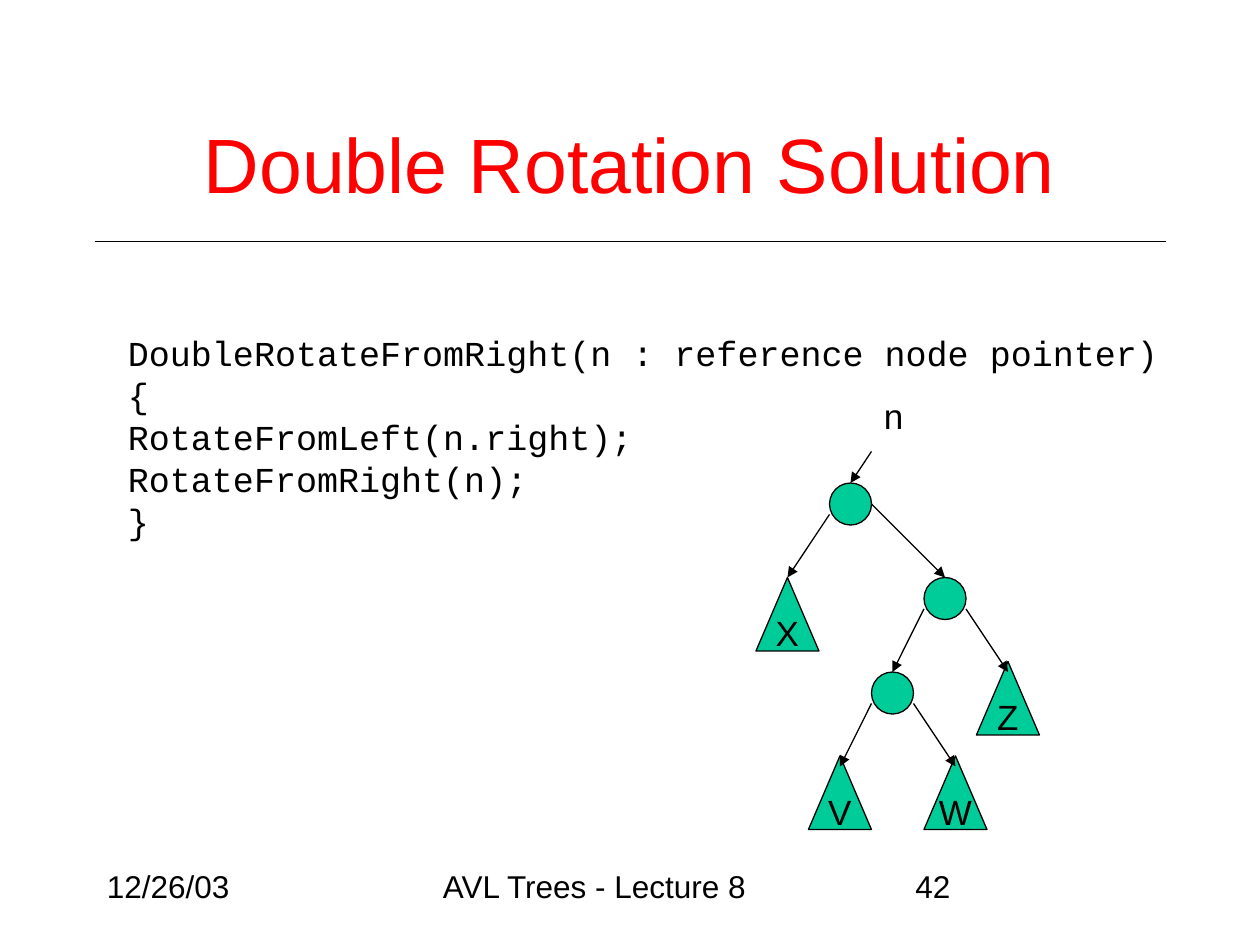
from lxml.etree import SubElement
from pptx import Presentation
from pptx.dml.color import RGBColor
from pptx.enum.shapes import MSO_CONNECTOR, MSO_SHAPE
from pptx.enum.text import MSO_ANCHOR, PP_ALIGN
from pptx.oxml.ns import qn
from pptx.util import Pt

BLACK, RED, GREEN = "000000", "FF0000", "00CC99"
NODE_SIZE = 24
SUBTREE_WIDTH, SUBTREE_HEIGHT = 36, 42

CODE = [
    "DoubleRotateFromRight(n : reference node pointer) {",
    "RotateFromLeft(n.right);",
    "RotateFromRight(n);",
    "}",
]
FOOTERS = [(54, 150, "12/26/03"), (246, 228, "AVL Trees - Lecture 8"), (516, 150, "42")]
NODES = [(474, 276), (528, 330), (498, 384)]
SUBTREES = [(432, 330, "X"), (558, 378, "Z"), (462, 432, "V"), (528, 432, "W")]
ARROWS = [
    (498, 258, 486, 276),
    (474, 294, 450, 330),
    (498, 288, 540, 330),
    (528, 348, 510, 384),
    (552, 348, 576, 384),
    (498, 402, 480, 438),
    (522, 402, 546, 438),
]


def color(value):
    """Turn a hex string into a colour."""
    return RGBColor.from_string(value)


def write(frame, lines, size, font="Arial", fill=BLACK, align=PP_ALIGN.LEFT):
    """Fill a text frame with one paragraph per line."""
    for index, line in enumerate(lines):
        paragraph = frame.add_paragraph() if index else frame.paragraphs[0]
        paragraph.text = line
        paragraph.alignment = align
        paragraph.font.name = font
        paragraph.font.size = Pt(size)
        paragraph.font.color.rgb = color(fill)


def add_text(page, left, top, width, height, lines, size, anchor=MSO_ANCHOR.TOP, **style):
    """Add a wrapping text box."""
    box = page.shapes.add_textbox(Pt(left), Pt(top), Pt(width), Pt(height))
    box.text_frame.word_wrap = True
    box.text_frame.vertical_anchor = anchor
    write(box.text_frame, lines, size, **style)


def add_tree_shape(page, kind, left, top, width, height):
    """Add a green outlined shape of the tree."""
    shape = page.shapes.add_shape(kind, Pt(left), Pt(top), Pt(width), Pt(height))
    shape.shadow.inherit = False
    shape.fill.solid()
    shape.fill.fore_color.rgb = color(GREEN)
    shape.line.color.rgb = color(BLACK)
    shape.line.width = Pt(0.75)
    return shape


def add_subtree(page, left, top, label):
    """Add a labelled triangle that stands for a subtree."""
    triangle = add_tree_shape(
        page, MSO_SHAPE.ISOSCELES_TRIANGLE, left, top, SUBTREE_WIDTH, SUBTREE_HEIGHT
    )
    frame = triangle.text_frame
    frame.word_wrap = False
    frame.vertical_anchor = MSO_ANCHOR.MIDDLE
    write(frame, [label], 20, align=PP_ALIGN.CENTER)


def add_line(page, x1, y1, x2, y2, arrow=False):
    """Add a thin black line, with an arrowhead at its end if asked."""
    line = page.shapes.add_connector(MSO_CONNECTOR.STRAIGHT, Pt(x1), Pt(y1), Pt(x2), Pt(y2))
    line.line.color.rgb = color(BLACK)
    line.line.width = Pt(0.75)
    if arrow:
        SubElement(line.line._get_or_add_ln(), qn("a:tailEnd"), type="triangle")
    SubElement(line._element.spPr, qn("a:effectLst"))


def main():
    """Build the slide and save it."""
    deck = Presentation()
    deck.slide_width, deck.slide_height = Pt(720), Pt(540)
    page = deck.slides.add_slide(deck.slide_layouts[6])

    add_line(page, 54, 138, 666, 138)
    for left, width, label in FOOTERS:
        add_text(page, left, 492, width, 36, [label], 18)
    add_text(page, 54, 48, 612, 90, ["Double Rotation Solution"], 44,
             anchor=MSO_ANCHOR.MIDDLE, fill=RED, align=PP_ALIGN.CENTER)
    add_text(page, 66, 186, 625, 104, CODE, 20, font="Courier New")

    add_text(page, 498, 222, 26, 32, ["n"], 20)
    for left, top in NODES:
        add_tree_shape(page, MSO_SHAPE.OVAL, left, top, NODE_SIZE, NODE_SIZE)
    for left, top, label in SUBTREES:
        add_subtree(page, left, top, label)
    for ends in ARROWS:
        add_line(page, *ends, arrow=True)

    deck.save("out.pptx")


if __name__ == "__main__":
    main()
